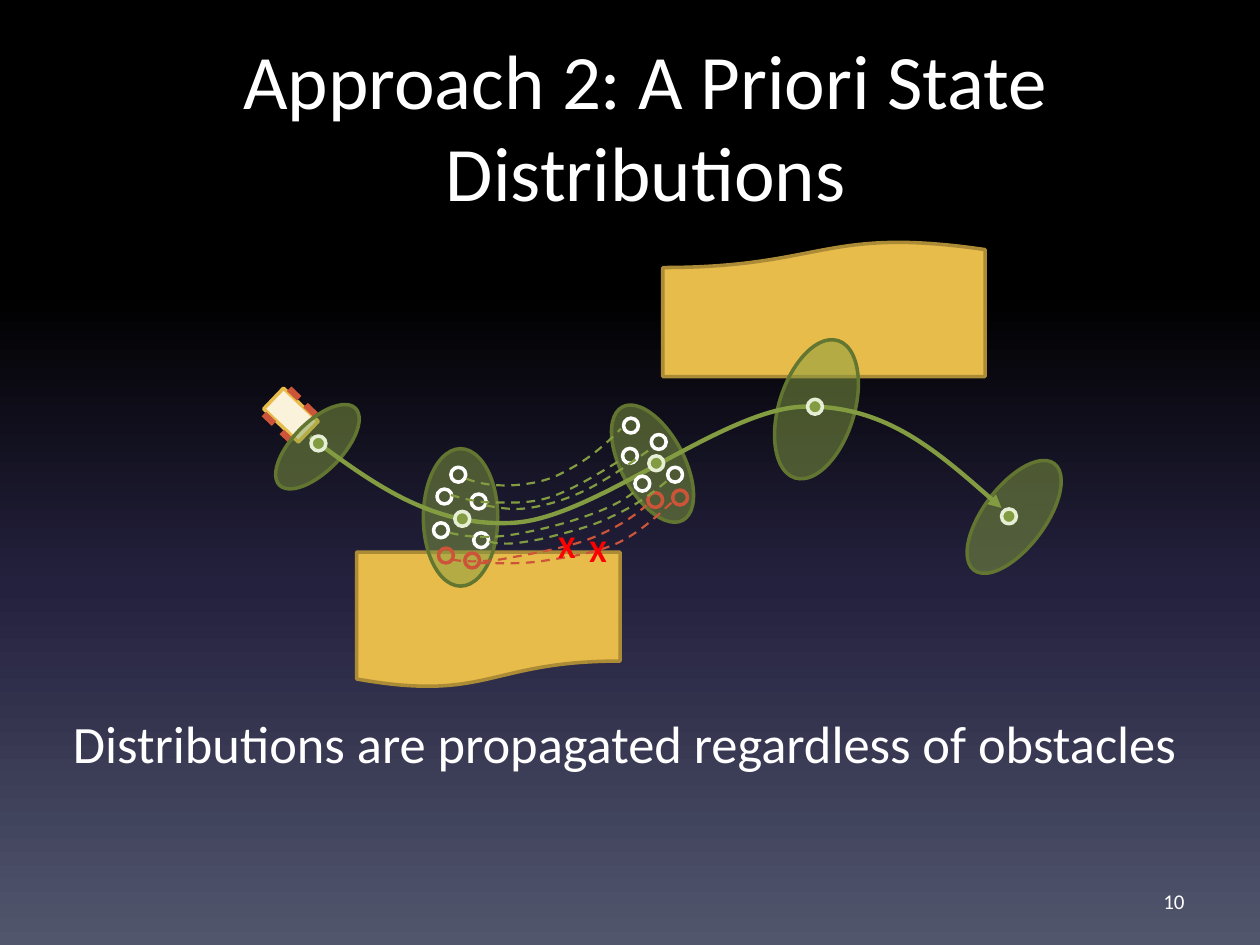
from lxml import etree
from pptx import Presentation
from pptx import util as u
from pptx.dml.color import RGBColor
from pptx.enum import dml, shapes, text
from pptx.oxml.ns import qn

BLACK = RGBColor(0x00, 0x00, 0x00)
NIGHT = RGBColor(0x24, 0x21, 0x3E)
SLATE = RGBColor(0x51, 0x56, 0x6D)
WHITE = RGBColor(0xFF, 0xFF, 0xFF)
CREAM = RGBColor(0xFA, 0xF2, 0xDB)
GOLD = RGBColor(0xE8, 0xBC, 0x4A)
DARK_GOLD = RGBColor(0xAC, 0x8B, 0x37)
RUST = RGBColor(0xCC, 0x54, 0x39)
GREEN = RGBColor(0x83, 0x9C, 0x41)
DARK_GREEN = RGBColor(0x62, 0x75, 0x31)
PALE_GREEN = RGBColor(0xE7, 0xEE, 0xD6)
RED = RGBColor(0xFF, 0x00, 0x00)

RECTANGLE = shapes.MSO_SHAPE.RECTANGLE
OVAL = shapes.MSO_SHAPE.OVAL
OBSTACLE = shapes.MSO_SHAPE.FLOWCHART_DOCUMENT

presentation = Presentation()
presentation.slide_width = u.Cm(25.4)
presentation.slide_height = u.Cm(19.05)
slide = presentation.slides.add_slide(presentation.slide_layouts[6])


def add_figure(kind, left, top, width, height, fill=None, line=None, rotation=0, alpha=None):
    shape = slide.shapes.add_shape(kind, u.Cm(left), u.Cm(top), u.Cm(width), u.Cm(height))
    shape.rotation = rotation
    shape.shadow.inherit = False
    if fill is None:
        shape.fill.background()
    else:
        shape.fill.solid()
        shape.fill.fore_color.rgb = fill
    if alpha is not None:
        color = shape._element.spPr.find(qn("a:solidFill"))[0]
        etree.SubElement(color, qn("a:alpha"), val=str(alpha * 1000))
    if line is None:
        shape.line.fill.background()
    else:
        shape.line.color.rgb = line
        shape.line.width = u.Pt(2)


def add_curve(points, color, width):
    points = [(u.Cm(x), u.Cm(y)) for x, y in points]
    builder = slide.shapes.build_freeform(*points[0])
    builder.add_line_segments(points[1:], close=False)
    shape = builder.convert_to_shape()
    segments = list(shape._element.iter(qn("a:lnTo")))
    for start in range(0, len(segments), 3):
        curve = etree.Element(qn("a:cubicBezTo"))
        segments[start].addprevious(curve)
        for segment in segments[start:start + 3]:
            curve.append(segment[0])
            segment.getparent().remove(segment)
    shape.shadow.inherit = False
    shape.fill.background()
    shape.line.color.rgb = color
    shape.line.width = u.Pt(width)
    return shape


background = slide.background.fill
background.gradient()
background.gradient_angle = 270
stop_list = slide._element.find(".//" + qn("a:gsLst"))
for stop in list(stop_list):
    stop_list.remove(stop)
for position, color in [(0, BLACK), (31, BLACK), (62, NIGHT), (100, SLATE)]:
    stop = etree.SubElement(stop_list, qn("a:gs"), pos=str(position * 1000))
    etree.SubElement(stop, qn("a:srgbClr"), val=str(color))

add_figure(RECTANGLE, 5.38, 8.08, 0.97, 0.58, CREAM, GOLD, 43.7)
for left, top in [(5.79, 7.87), (6.12, 8.2), (5.28, 8.38), (5.64, 8.74)]:
    add_figure(RECTANGLE, left, top, 0.28, 0.13, RUST, rotation=43.7)

add_figure(OBSTACLE, 7.19, 11.13, 5.31, 2.74, GOLD, DARK_GOLD)
add_figure(OBSTACLE, 13.36, 4.85, 6.5, 2.74, GOLD, DARK_GOLD, 180)

for left, top, width, height, rotation in [
    (5.31, 8.51, 2.18, 0.99, 314.6),
    (11.86, 8.71, 2.59, 1.27, 242),
    (7.9, 9.68, 2.77, 1.5, 270),
    (19.1, 9.8, 2.69, 1.24, 307),
    (15.01, 7.49, 2.9, 1.52, 287.4),
]:
    add_figure(OVAL, left, top, width, height, GREEN, DARK_GREEN, rotation, 51)

trajectory = add_curve(
    [(6.25, 8.81), (7.49, 9.73), (8.71, 10.64), (10.36, 10.54), (12.01, 10.44),
     (14.55, 8.26), (16.18, 8.2), (17.83, 8.15), (19, 9.19), (20.19, 10.24)],
    GREEN, 2.5)
etree.SubElement(trajectory.line._get_or_add_ln(), qn("a:tailEnd"), type="triangle")

means = [(6.27, 8.79), (13.08, 9.19), (20.19, 10.26), (16.28, 8.05), (9.17, 10.31)]
free_samples = [
    (9.09, 9.42), (9.5, 9.96), (8.74, 10.54), (9.55, 10.74), (8.81, 9.86),
    (12.57, 8.43), (12.55, 9.04), (13.13, 8.76), (12.8, 9.6), (13.46, 9.42),
]
blocked_samples = [(8.84, 11.05), (9.37, 11.15), (13.06, 9.93), (13.56, 9.88)]
for positions, fill, line in [
    (means, GREEN, PALE_GREEN),
    (free_samples, None, WHITE),
    (blocked_samples, None, RUST),
]:
    for left, top in positions:
        add_figure(OVAL, left, top, 0.3, 0.3, fill, line)

free_links = [
    [(9.4, 9.65), (9.73, 9.78), (10.06, 9.8), (10.39, 9.78), (10.72, 9.75),
     (11.05, 9.7), (11.4, 9.5), (11.76, 9.32), (12.14, 9.04), (12.52, 8.64)],
    [(9.09, 9.98), (9.37, 10.06), (9.63, 10.13), (9.96, 10.13), (10.31, 10.13),
     (10.69, 10.16), (11.13, 10.01), (11.56, 9.86), (12.07, 9.55), (12.55, 9.25)],
    [(9.8, 10.19), (10.06, 10.24), (10.34, 10.29), (10.67, 10.24), (11, 10.19),
     (11.4, 10.08), (11.81, 9.88), (12.22, 9.68), (12.7, 9.35), (13.16, 9.02)],
    [(9.07, 10.74), (9.37, 10.82), (9.75, 10.85), (10.19, 10.8), (10.64, 10.74),
     (11.28, 10.59), (11.71, 10.44), (12.17, 10.29), (12.57, 10.11), (12.83, 9.88)],
    [(9.86, 10.92), (10.19, 11), (10.46, 10.95), (10.9, 10.87), (11.3, 10.77),
     (11.94, 10.62), (12.34, 10.41), (12.78, 10.21), (13.11, 9.98), (13.44, 9.7)],
]
blocked_links = [
    [(9.12, 11.28), (9.35, 11.33), (9.63, 11.33), (10.08, 11.28), (10.52, 11.2),
     (11.3, 11.07), (11.79, 10.9), (12.29, 10.72), (12.73, 10.46), (13.03, 10.19)],
    [(9.68, 11.35), (10.08, 11.35), (10.52, 11.38), (11, 11.3), (11.46, 11.23),
     (12.01, 11.15), (12.45, 10.95), (12.88, 10.74), (13.21, 10.44), (13.54, 10.13)],
]
for links, color in [(free_links, GREEN), (blocked_links, RUST)]:
    for points in links:
        link = add_curve(points, color, 1.25)
        link.line.dash_style = dml.MSO_LINE.DASH

LEFT, CENTER, RIGHT = text.PP_ALIGN.LEFT, text.PP_ALIGN.CENTER, text.PP_ALIGN.RIGHT
TOP, MIDDLE = text.MSO_ANCHOR.TOP, text.MSO_ANCHOR.MIDDLE
for words, left, top, width, height, size, color, bold, alignment, anchor in [
    ("Approach 2: A Priori State Distributions",
     1.27, 0.53, 23.5, 3.18, 44, WHITE, False, CENTER, TOP),
    ("Distributions are propagated regardless of obstacles",
     1.22, 14.2, 23.83, 1.55, 30, WHITE, False, LEFT, TOP),
    ("X", 11.63, 10.59, 0.84, 1.02, 18, RED, True, LEFT, TOP),
    ("X", 11, 10.49, 0.84, 1.02, 18, RED, True, LEFT, TOP),
    ("10", 18.21, 17.65, 5.92, 1.02, 12, WHITE, False, RIGHT, MIDDLE),
]:
    box = slide.shapes.add_textbox(u.Cm(left), u.Cm(top), u.Cm(width), u.Cm(height))
    frame = box.text_frame
    frame.word_wrap = True
    frame.vertical_anchor = anchor
    paragraph = frame.paragraphs[0]
    paragraph.alignment = alignment
    run = paragraph.add_run()
    run.text = words
    run.font.name = "Calibri"
    run.font.size = u.Pt(size)
    run.font.bold = bold
    run.font.color.rgb = color

presentation.save("out.pptx")
